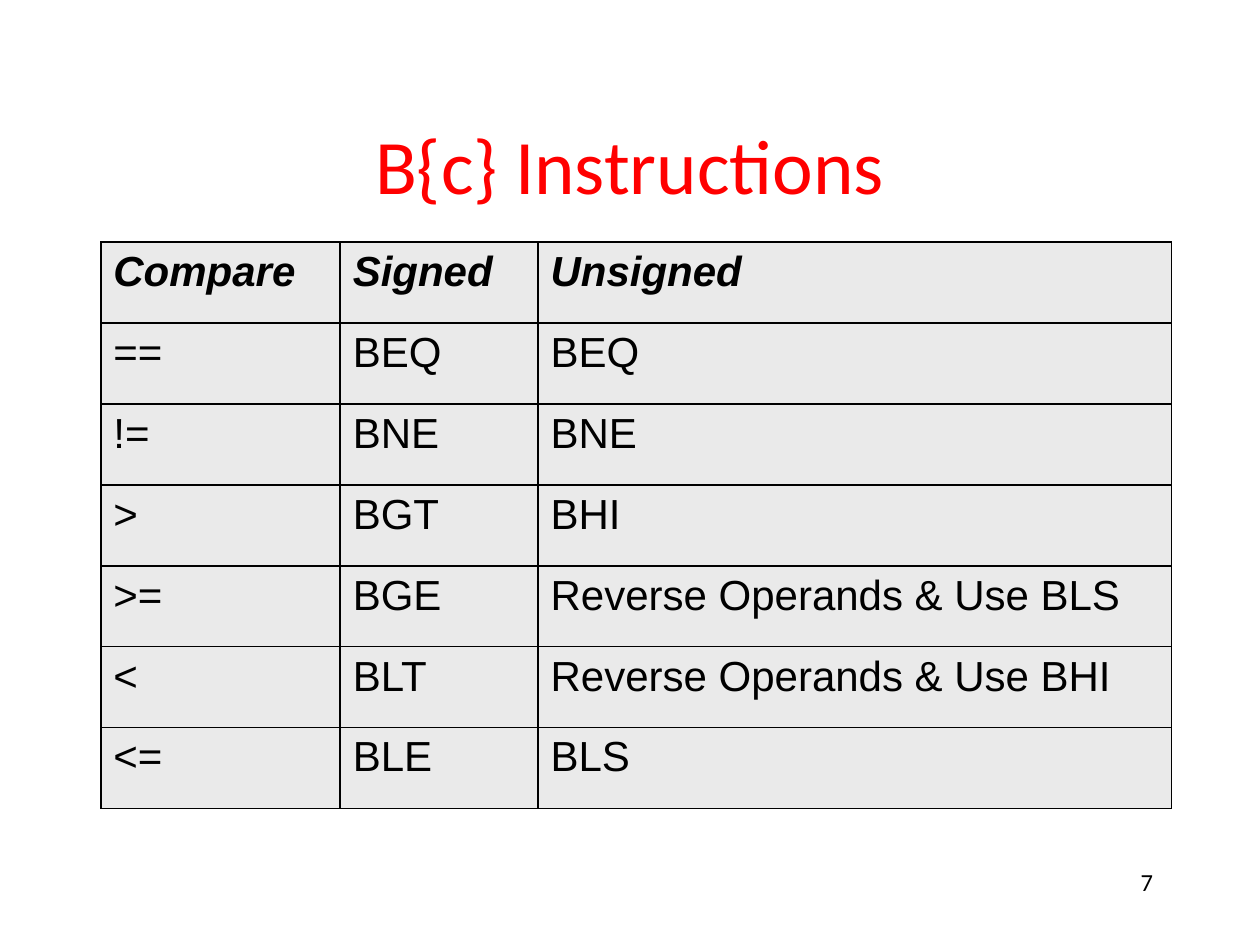
from dataclasses import dataclass

from lxml.etree import SubElement
from pptx import Presentation
from pptx.dml.color import RGBColor as RGB
from pptx.enum.text import MSO_ANCHOR as Anchor, PP_ALIGN as Align
from pptx.oxml.ns import qn
from pptx.util import Inches, Pt


@dataclass(frozen=True)
class Theme:
    """Colours, fonts and type sizes of the slide."""
    red: str = "FF0000"
    black: str = "000000"
    grey: str = "EAEAEA"
    heading_font: str = "Calibri"
    table_font: str = "Arial"
    title_size: int = 44
    table_size: int = 24
    number_size: int = 14
    border: int = 1


THEME = Theme()
COLUMNS = (1.9, 1.57, 5.03)
ROW_HEIGHT = 4.5 / 7
ROWS = (
    ("Compare", "Signed", "Unsigned"),
    ("==", "BEQ", "BEQ"),
    ("!=", "BNE", "BNE"),
    (">", "BGT", "BHI"),
    (">=", "BGE", "Reverse Operands & Use BLS"),
    ("<", "BLT", "Reverse Operands & Use BHI"),
    ("<=", "BLE", "BLS"),
)


def style(p, font, size, color, strong=False):
    """Set the font of a paragraph; strong means bold italic."""
    p.font.name, p.font.size = font, Pt(size)
    p.font.color.rgb = RGB.from_string(color)
    p.font.bold = p.font.italic = strong


def add_text(s, text, box, size, color, align, anchor=Anchor.TOP):
    """Add a one-paragraph text box."""
    tf = s.shapes.add_textbox(*map(Inches, box)).text_frame
    tf.word_wrap, tf.vertical_anchor = True, anchor
    p = tf.paragraphs[0]
    p.text, p.alignment = text, align
    style(p, THEME.heading_font, size, color)


def add_borders(cell):
    """Draw a solid line on all four sides of a cell."""
    tc_pr = cell._tc.get_or_add_tcPr()
    for i, side in enumerate(("lnL", "lnR", "lnT", "lnB")):
        ln = SubElement(tc_pr, qn(f"a:{side}"), w=str(Pt(THEME.border)))
        fill = SubElement(ln, qn("a:solidFill"))
        SubElement(fill, qn("a:srgbClr"), val=THEME.black)
        tc_pr.insert(i, ln)


def add_grid(s, left, top):
    """Add the comparison table with its header row."""
    table = s.shapes.add_table(
        len(ROWS), len(COLUMNS), Inches(left), Inches(top),
        Inches(sum(COLUMNS)), Inches(ROW_HEIGHT * len(ROWS))).table
    for column, width in zip(table.columns, COLUMNS):
        column.width = Inches(width)
    for i, values in enumerate(ROWS):
        table.rows[i].height = Inches(ROW_HEIGHT)
        for j, value in enumerate(values):
            cell = table.cell(i, j)
            cell.fill.solid()
            cell.fill.fore_color.rgb = RGB.from_string(THEME.grey)
            add_borders(cell)
            p = cell.text_frame.paragraphs[0]
            p.text = value
            style(p, THEME.table_font, THEME.table_size, THEME.black, i == 0)


def main():
    """Build and save the slide."""
    prs = Presentation()
    prs.slide_width, prs.slide_height = Inches(10), Inches(7.5)
    s = prs.slides.add_slide(prs.slide_layouts[6])
    add_text(s, "B{c} Instructions", (0.75, 0.67, 8.5, 1.25),
             THEME.title_size, THEME.red, Align.CENTER, Anchor.MIDDLE)
    add_grid(s, 0.8, 1.92)
    add_text(s, "7", (7.17, 6.83, 2.08, 0.5),
             THEME.number_size, THEME.black, Align.RIGHT)
    prs.save("out.pptx")


if __name__ == "__main__":
    main()
